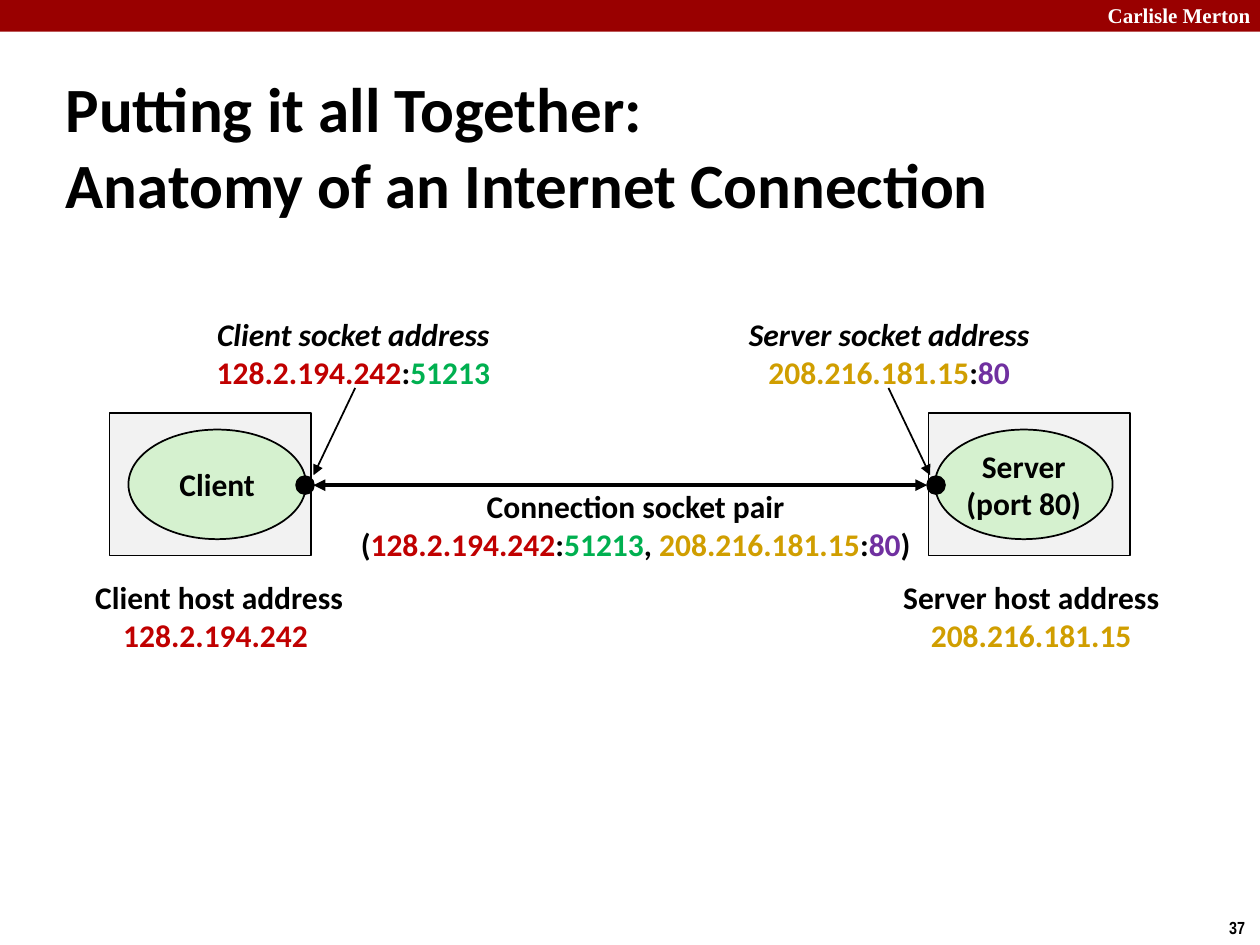
from pptx import Presentation
from pptx.util import Cm, Pt
from pptx.dml.color import RGBColor
from pptx.enum import shapes, text
from pptx.oxml import ns
from lxml import etree

BLACK = RGBColor(0, 0, 0)
WHITE = RGBColor(255, 255, 255)
BANNER = RGBColor(0x99, 0, 0)
GREY = RGBColor(0xF2, 0xF2, 0xF2)
MINT = RGBColor(0xD5, 0xF1, 0xCF)
RED = RGBColor(0xC0, 0, 0)
GREEN = RGBColor(0, 0xB0, 0x50)
GOLD = RGBColor(0xD0, 0x9E, 0)
PURPLE = RGBColor(0x70, 0x30, 0xA0)
RECT = shapes.MSO_SHAPE.RECTANGLE
OVAL = shapes.MSO_SHAPE.OVAL
CENTER = text.PP_ALIGN.CENTER
BREAK = ("\v", None)

deck = Presentation()
deck.slide_width, deck.slide_height = Cm(25.4), Cm(19.05)
slide = deck.slides.add_slide(deck.slide_layouts[5])
parts = slide.shapes


def draw(kind, x, y, w, h, fill, line=BLACK):
    shape = parts.add_shape(kind, Cm(x), Cm(y), Cm(w), Cm(h))
    shape.shadow.inherit = False
    shape.fill.solid()
    shape.fill.fore_color.rgb = fill
    shape.line.color.rgb = line
    shape.line.width = Pt(1)
    return shape


def write(shape, lines, size=18, face="Calibri", color=BLACK, align=CENTER):
    """Each line is a list of (words, colour) runs; None keeps the main colour."""
    frame = shape.text_frame
    frame.word_wrap = False
    frame.vertical_anchor = text.MSO_ANCHOR.MIDDLE
    for i, line in enumerate(lines):
        para = frame.add_paragraph() if i else frame.paragraphs[0]
        para.alignment = align
        para.font.name, para.font.size, para.font.bold = face, Pt(size), True
        para.font.color.rgb = color
        for words, tint in line:
            if words == "\v":
                para.add_line_break()
                continue
            run = para.add_run()
            run.text = words
            if tint is not None:
                run.font.color.rgb = tint
    return frame


# Banner and page number
draw(RECT, 0, 0, 25.4, 0.64, BANNER, BANNER).line.fill.background()
for words, x, y, w, h, size, face, color in [
    ("Carlisle Merton", 21.83, -0.08, 3.63, 0.76, 12, "Times New Roman", WHITE),
    ("37", 24.49, 18.36, 0.86, 0.69, 10, "Arial Narrow", BLACK),
]:
    box = parts.add_textbox(Cm(x), Cm(y), Cm(w), Cm(h))
    write(box, [[(words, None)]], size, face, color, text.PP_ALIGN.RIGHT)

# Title
title = parts.title
title.left, title.top, title.width, title.height = Cm(1.07), Cm(1.4), Cm(22.35), Cm(3.05)
heading = [("Putting it all Together: ", None), BREAK,
           ("Anatomy of an Internet Connection", None)]
write(title, [heading], 36, align=text.PP_ALIGN.LEFT)
title.text_frame.word_wrap = True
title.text_frame.auto_size = text.MSO_AUTO_SIZE.NONE

# Hosts with their processes and socket dots
for host, oval, dot, lines in [
    (2.21, 2.59, 5.97, ["Client"]),
    (18.72, 18.85, 18.69, ["Server", "(port 80)"]),
]:
    draw(RECT, host, 8.33, 4.06, 2.87, GREY)
    write(draw(OVAL, oval, 8.66, 3.58, 2.21, MINT), [[(line, None)] for line in lines])
    draw(OVAL, dot, 9.6, 0.36, 0.36, BLACK)

# Addresses
client, server = ("128.2.194.242", RED), ("208.216.181.15", GOLD)
colon = (":", None)
from_port = [client, colon, ("51213", GREEN)]
to_port = [server, colon, ("80", PURPLE)]
pair = [("(", None), *from_port, (", ", None), *to_port, (")", None)]
for head, line, x, y, w, slant in [
    ("Connection socket pair", pair, 6.96, 9.68, 11.71, False),
    ("Client socket address", from_port, 4.09, 6.22, 6.07, True),
    ("Server socket address", to_port, 14.33, 6.22, 7.19, True),
    ("Client host address", [("128.2.194.242 ", RED)], 1.65, 11.51, 5.54, False),
    ("Server host address", [server], 17.93, 11.51, 5.72, False),
]:
    box = parts.add_textbox(Cm(x), Cm(y), Cm(w), Cm(1.8))
    frame = write(box, [[(head, None)], line])
    frame.paragraphs[0].font.italic = slant

# Connection and pointers to the sockets
for x1, y1, x2, y2, width, ends in [
    (6.32, 9.78, 18.69, 9.78, 2.25, ["headEnd", "tailEnd"]),
    (7.16, 7.82, 6.32, 9.58, 1, ["tailEnd"]),
    (17.91, 7.82, 18.75, 9.58, 1, ["tailEnd"]),
]:
    arrow = parts.add_connector(shapes.MSO_CONNECTOR.STRAIGHT, Cm(x1), Cm(y1), Cm(x2), Cm(y2))
    arrow.line.color.rgb = BLACK
    arrow.line.width = Pt(width)
    props = arrow._element.spPr
    for end in ends:
        etree.SubElement(props.find(ns.qn("a:ln")), ns.qn("a:" + end), type="triangle")
    etree.SubElement(props, ns.qn("a:effectLst"))

deck.save("out.pptx")
